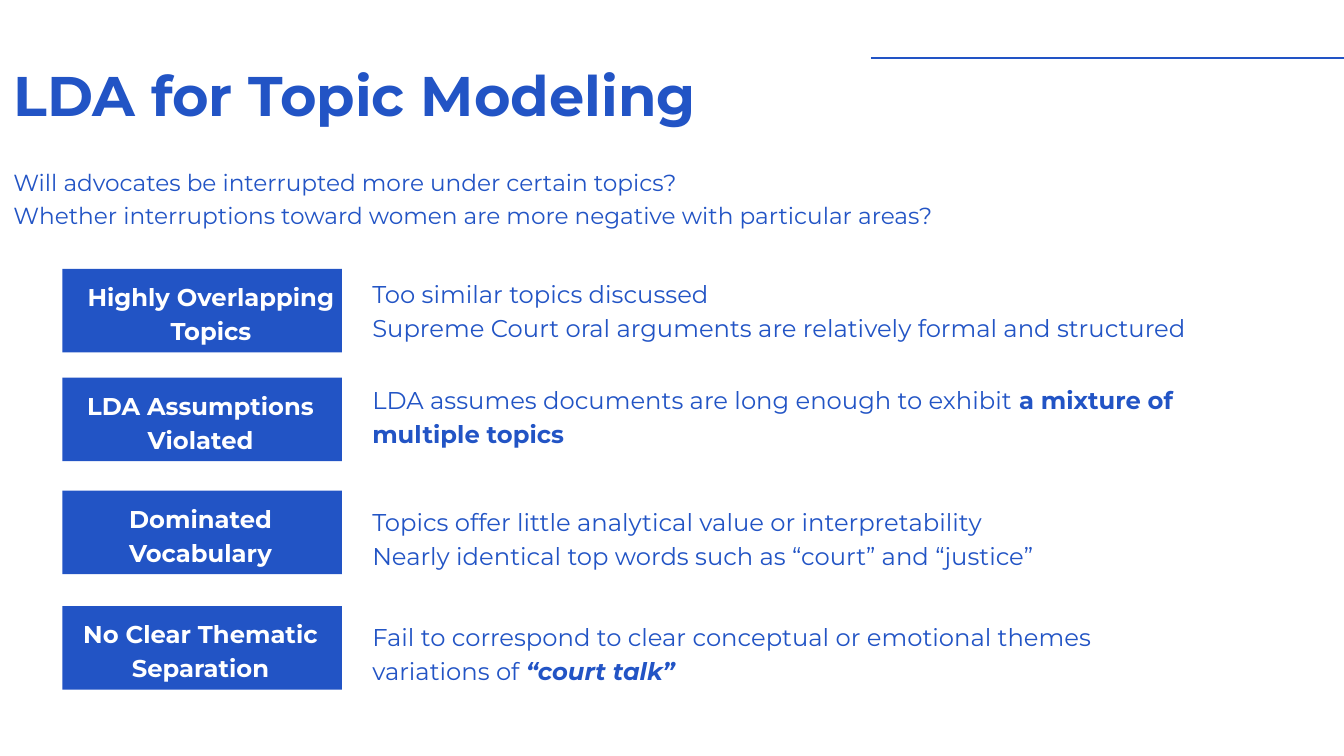
from pptx import Presentation
from pptx.dml.color import RGBColor
from pptx.enum.shapes import MSO_CONNECTOR, MSO_SHAPE
from pptx.enum.text import MSO_AUTO_SIZE, PP_ALIGN
from pptx.oxml.ns import qn
from pptx.util import Inches, Pt
from lxml.etree import SubElement

COLORS = {"blue": "2254C5", "white": "FFFFFF"}
FONT = "Montserrat"
WIDTH, HEIGHT = Inches(20), Inches(11.25)
COLUMNS = ROWS = 100

CARD_LEFT, CARD_WIDTH, CARD_HEIGHT = 4.65, 20.8, 11.06
LABEL_LEFT, LABEL_DROP = 5.95, 1.12
BODY_LEFT = 27.7

FINDINGS = [
    (35.56, "Highly Overlapping Topics", 19.5, 0.71, 64.2, [
        [("Too similar topics discussed", {})],
        [("Supreme Court oral arguments are relatively formal and structured", {})],
    ]),
    (49.96, "LDA Assumptions Violated", 17.95, 0.35, 65.8, [
        [("LDA assumes documents are long enough to exhibit ", {}),
         ("a mixture of multiple topics", {"bold": True})],
    ]),
    (64.89, "Dominated Vocabulary", 17.95, 1.51, 64.2, [
        [("Topics offer little analytical value or interpretability", {})],
        [("Nearly identical top words such as “court” and “justice”", {})],
    ]),
    (80.18, "No Clear Thematic Separation", 17.95, 1.51, 64.2, [
        [("Fail to correspond to clear conceptual or emotional themes", {})],
        [("variations of ", {}), ("“court talk”", {"bold": True, "italic": True})],
    ]),
]


def add_span(para, text, size=26, color="blue", bold=False, italic=False):
    span = para.add_run()
    span.text = text
    span.font.name = FONT
    span.font.size = Pt(size)
    span.font.bold = bold
    span.font.italic = italic
    span.font.color.rgb = RGBColor.from_string(COLORS[color])


class Painter:
    def __init__(self, page):
        self.page = page

    def across(self, columns):
        return round(WIDTH * columns / COLUMNS)

    def down(self, rows):
        return round(HEIGHT * rows / ROWS)

    def frame(self, left, top, width, height):
        return self.across(left), self.down(top), self.across(width), self.down(height)

    def card(self, left, top, width, height):
        box = self.page.shapes.add_shape(
            MSO_SHAPE.RECTANGLE, *self.frame(left, top, width, height))
        box.shadow.inherit = False
        box.fill.solid()
        box.fill.fore_color.rgb = RGBColor.from_string(COLORS["blue"])
        box.line.fill.background()

    def rule(self, left, right, top):
        line = self.page.shapes.add_connector(
            MSO_CONNECTOR.STRAIGHT, self.across(left), self.down(top),
            self.across(right), self.down(top))
        line.line.color.rgb = RGBColor.from_string(COLORS["blue"])
        line.line.width = Pt(2.25)
        SubElement(line._element.spPr, qn("a:effectLst"))

    def text(self, left, top, width, height, paragraphs, leading=36.4,
             align=PP_ALIGN.LEFT, **style):
        box = self.page.shapes.add_textbox(*self.frame(left, top, width, height))
        frame = box.text_frame
        frame.word_wrap = True
        frame.auto_size = MSO_AUTO_SIZE.SHAPE_TO_FIT_TEXT
        frame.margin_left = frame.margin_right = 0
        frame.margin_top = frame.margin_bottom = 0
        for index, spans in enumerate(paragraphs):
            para = frame.add_paragraph() if index else frame.paragraphs[0]
            para.alignment = align
            para.line_spacing = Pt(leading)
            for text, changes in spans:
                add_span(para, text, **{**style, **changes})


def main():
    deck = Presentation()
    deck.slide_width, deck.slide_height = WIDTH, HEIGHT
    painter = Painter(deck.slides.add_slide(deck.slide_layouts[6]))

    painter.rule(64.8, 100, 7.73)
    painter.text(1, 6.58, 65.6, 9.96, [[("LDA for Topic Modeling", {})]],
                 leading=83.8, size=59.8, bold=True)
    painter.text(1, 21.69, 73.95, 8.27, [
        [("Will advocates be interrupted more under certain topics?", {})],
        [("Whether interruptions toward women are more negative with particular areas?", {})],
    ], leading=34.8, size=24.9)

    for top, label, label_width, body_drop, body_width, body in FINDINGS:
        painter.card(CARD_LEFT, top, CARD_WIDTH, CARD_HEIGHT)
        painter.text(LABEL_LEFT, top + LABEL_DROP, label_width, 8.71, [[(label, {})]],
                     align=PP_ALIGN.CENTER, color="white", bold=True)
        painter.text(BODY_LEFT, top + body_drop, body_width, 8.71, body)

    deck.save("out.pptx")


if __name__ == "__main__":
    main()
